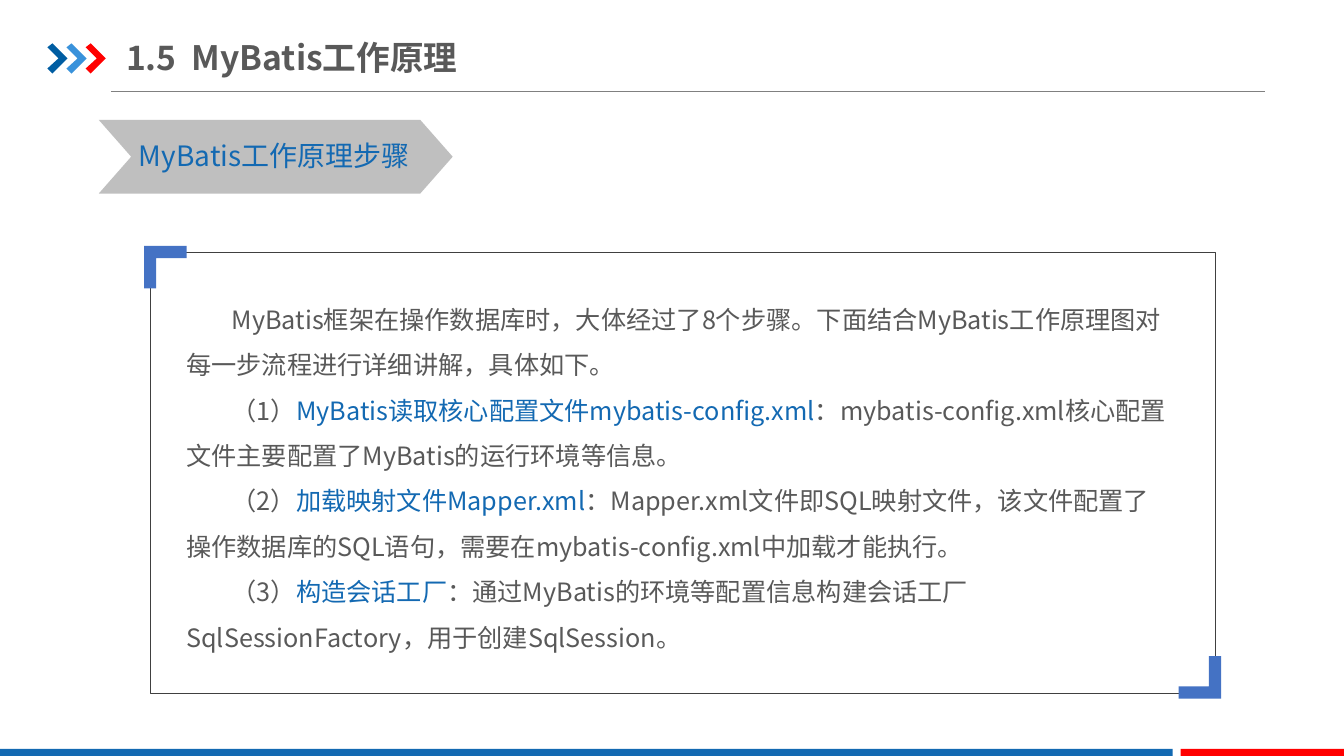
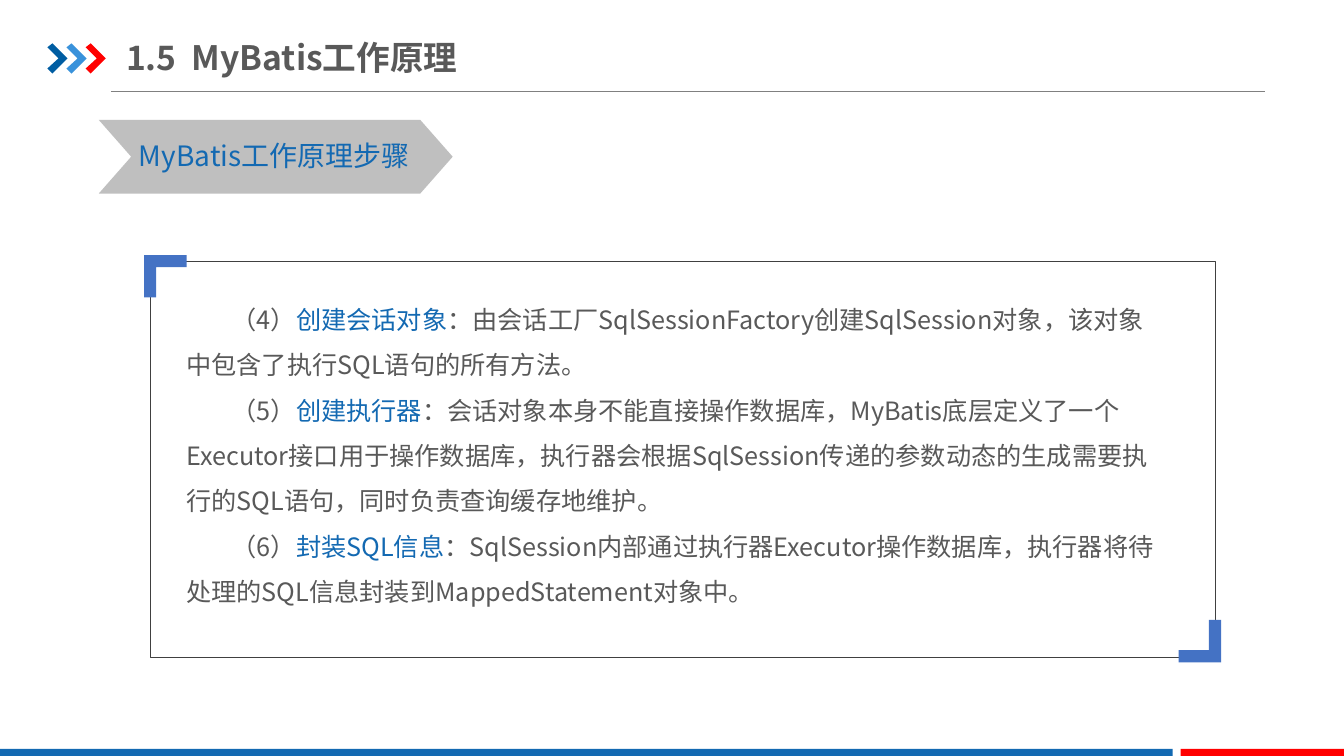
from lxml import etree
from pptx import Presentation
from pptx.dml.color import RGBColor
from pptx.enum.shapes import MSO_CONNECTOR, MSO_SHAPE
from pptx.enum.text import MSO_ANCHOR, MSO_AUTO_SIZE
from pptx.oxml.ns import qn
from pptx.util import Pt

PX = 9144  # EMU in one px, 100 px to the inch
FONT = "Noto Sans CJK SC"

BLUE = RGBColor(0x13, 0x69, 0xB2)
DEEP_BLUE = RGBColor(0x00, 0x5D, 0xA2)
LIGHT_BLUE = RGBColor(0x39, 0x92, 0xDB)
CORNER_BLUE = RGBColor(0x44, 0x72, 0xC4)
RED = RGBColor(0xFF, 0x00, 0x00)
TEXT_GRAY = RGBColor(0x59, 0x59, 0x59)
FRAME_GRAY = RGBColor(0x40, 0x40, 0x40)
RULE_GRAY = RGBColor(0x80, 0x80, 0x80)
TAG_GRAY = RGBColor(0xBF, 0xBF, 0xBF)

TITLE = "1.5  MyBatis工作原理"
TAG = "MyBatis工作原理步骤"

# Each paragraph is (number, step name, explanation).
SLIDES = [
    {
        "frame": (149, 250, 1056, 438),
        "body": (175, 282, 994, 369),
        "steps": [
            ("", "", "MyBatis框架在操作数据库时，大体经过了8个步骤。"
             "下面结合MyBatis工作原理图对每一步流程进行详细讲解，具体如下。"),
            ("（1）", "MyBatis读取核心配置文件mybatis-config.xml",
             "：mybatis-config.xml核心配置文件主要配置了MyBatis的运行环境等信息。"),
            ("（2）", "加载映射文件Mapper.xml",
             "：Mapper.xml文件即SQL映射文件，该文件配置了操作数据库的SQL语句，"
             "需要在mybatis-config.xml中加载才能执行。"),
            ("（3）", "构造会话工厂",
             "：通过MyBatis的环境等配置信息构建会话工厂SqlSessionFactory，"
             "用于创建SqlSession。"),
        ],
    },
    {
        "frame": (149, 259, 1056, 393),
        "body": (175, 282, 994, 371),
        "steps": [
            ("（4）", "创建会话对象",
             "：由会话工厂SqlSessionFactory创建SqlSession对象，"
             "该对象中包含了执行SQL语句的所有方法。"),
            ("（5）", "创建执行器",
             "：会话对象本身不能直接操作数据库，"
             "MyBatis底层定义了一个Executor接口用于操作数据库，"
             "执行器会根据SqlSession传递的参数动态的生成需要执行的SQL语句，"
             "同时负责查询缓存地维护。"),
            ("（6）", "封装SQL信息",
             "：SqlSession内部通过执行器Executor操作数据库，"
             "执行器将待处理的SQL信息封装到MappedStatement对象中。"),
        ],
    },
]


def emu(*lengths):
    return [n * PX for n in lengths]


def paint(sp, fill=None, line=None, width=0.25):
    sp.shadow.inherit = False
    if fill is None:
        sp.fill.background()
    else:
        sp.fill.solid()
        sp.fill.fore_color.rgb = fill
    if line is None:
        sp.line.fill.background()
    else:
        sp.line.color.rgb = line
        sp.line.width = Pt(width)


def add_block(s, kind, box, **colours):
    sp = s.shapes.add_shape(kind, *emu(*box))
    paint(sp, **colours)
    return sp


def add_outline(s, points, fill):
    builder = s.shapes.build_freeform(*points[0], scale=PX)
    builder.add_line_segments(points[1:], close=True)
    paint(builder.convert_to_shape(), fill=fill)


def add_text(s, box, paragraphs, size, bold=False, spacing=None, indent=0,
             insets=(10, 5), anchor=MSO_ANCHOR.TOP, fit=MSO_AUTO_SIZE.NONE):
    """Write paragraphs, each a list of (text, colour) runs."""
    tf = s.shapes.add_textbox(*emu(*box)).text_frame
    tf.word_wrap = True
    tf.auto_size = fit
    tf.vertical_anchor = anchor
    tf.margin_left = tf.margin_right = insets[0] * PX
    tf.margin_top = tf.margin_bottom = insets[1] * PX
    for i, runs in enumerate(paragraphs):
        p = tf.add_paragraph() if i else tf.paragraphs[0]
        if spacing:
            p.line_spacing = spacing
        if indent:
            p._p.get_or_add_pPr().set("indent", str(indent * PX))
        for text, colour in runs:
            r = p.add_run()
            r.text = text
            r.font.size = Pt(size)
            r.font.bold = bold
            r.font.color.rgb = colour
            r.font.name = FONT
            etree.SubElement(r.font._element, qn("a:ea"), typeface=FONT)


def add_base(s):
    """Title with its arrows and rule, the footer bands and the tag."""
    rule = s.shapes.add_connector(MSO_CONNECTOR.STRAIGHT, *emu(110, 91, 1255, 91))
    rule.line.color.rgb = RULE_GRAY
    rule.line.width = Pt(0.5)
    etree.SubElement(rule._element.spPr, qn("a:effectLst"))

    arrow = [(0, 4), (5, 0), (20, 15), (5, 30), (0, 25), (11, 15)]
    for i, colour in enumerate((DEEP_BLUE, LIGHT_BLUE, RED)):
        left = 47 + 19 * i
        add_outline(s, [(left + x, 43 + y) for x, y in arrow], colour)

    add_block(s, MSO_SHAPE.RECTANGLE, (0, 743, 1163, 9), fill=BLUE)
    add_block(s, MSO_SHAPE.RECTANGLE, (1171, 743, 163, 9), fill=RED)

    chevron = add_block(s, MSO_SHAPE.CHEVRON, (98, 119, 351, 73), fill=TAG_GRAY)
    chevron.adjustments[0] = 0.44
    add_text(s, (128, 133, 306, 44), [[(TAG, BLUE)]], 20,
             fit=MSO_AUTO_SIZE.SHAPE_TO_FIT_TEXT)
    add_text(s, (125, 29, 441, 55), [[(TITLE, TEXT_GRAY)]], 24, bold=True,
             insets=(0, 7), anchor=MSO_ANCHOR.MIDDLE)


def add_frame(s, x, y, w, h):
    """Thin frame with a bracket at its top left and bottom right corners."""
    add_block(s, MSO_SHAPE.RECTANGLE, (x, y, w, h), line=FRAME_GRAY)
    bracket = [(0, 0), (42, 0), (42, 12), (12, 12), (12, 42), (0, 42)]
    for cx, cy, way in ((x - 6, y - 6, 1), (x + w + 6, y + h + 5, -1)):
        add_outline(s, [(cx + way * dx, cy + way * dy) for dx, dy in bracket],
                    CORNER_BLUE)


def main():
    prs = Presentation()
    prs.slide_width, prs.slide_height = emu(1333, 750)
    for content in SLIDES:
        s = prs.slides.add_slide(prs.slide_layouts[6])
        add_base(s)
        paragraphs = [
            [(text, colour)
             for text, colour in zip(step, (TEXT_GRAY, BLUE, TEXT_GRAY)) if text]
            for step in content["steps"]
        ]
        add_text(s, content["body"], paragraphs, 18, spacing=1.5, indent=45)
        add_frame(s, *content["frame"])
    prs.save("out.pptx")


if __name__ == "__main__":
    main()
